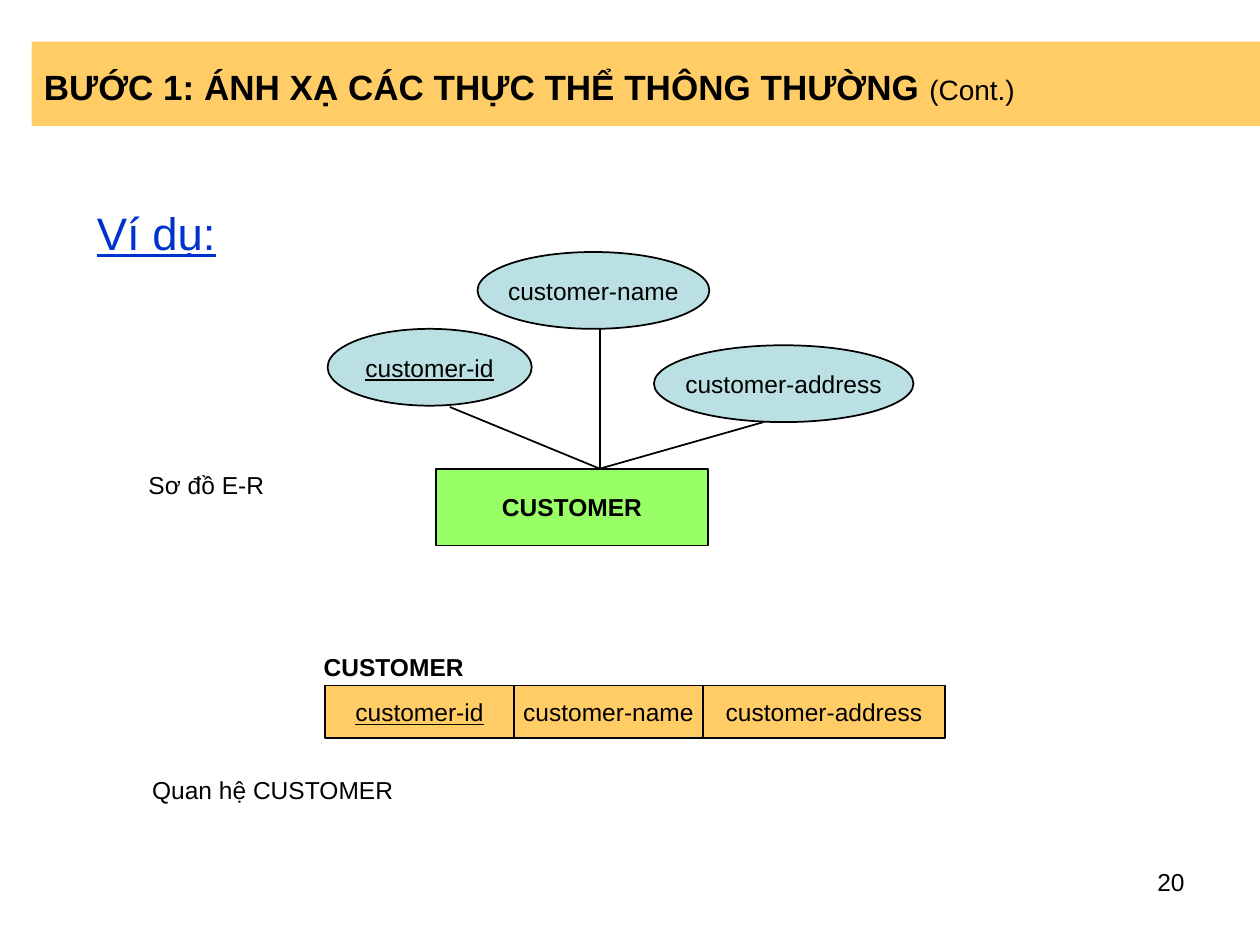
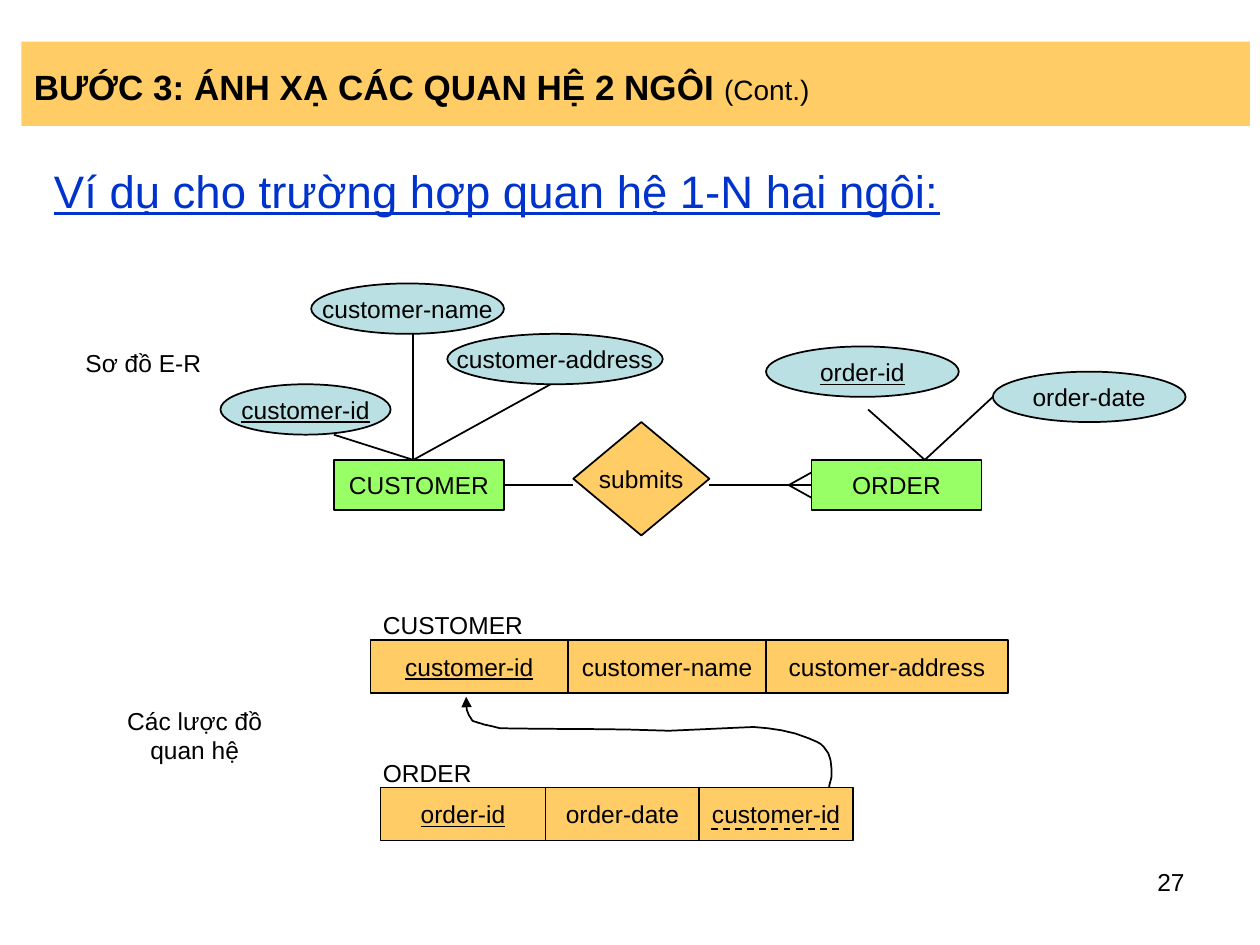
import pptx
import pptx.util
import pptx.dml.color
import pptx.enum.dml
import pptx.enum.shapes
import pptx.enum.text
import pptx.oxml.ns
from lxml import etree

Inches, Pt = pptx.util.Inches, pptx.util.Pt
RGBColor = pptx.dml.color.RGBColor
SHAPE = pptx.enum.shapes.MSO_SHAPE
ALIGN = pptx.enum.text.PP_ALIGN
ANCHOR = pptx.enum.text.MSO_ANCHOR

ORANGE = RGBColor(0xFF, 0xCC, 0x66)
GREEN = RGBColor(0x99, 0xFF, 0x66)
TEAL = RGBColor(0xBB, 0xE0, 0xE3)
BLUE = RGBColor(0x00, 0x33, 0xCC)
BLACK = RGBColor(0, 0, 0)
WHITE = RGBColor(0xFF, 0xFF, 0xFF)
FONT = "Arial"


def set_font(font, size=14, color=BLACK, bold=False, underline=False):
    font.name, font.size, font.bold = FONT, Pt(size), bold
    font.underline = underline
    font.color.rgb = color


def node(s, kind, box, fill, text="", line=True, **style):
    sp = s.shapes.add_shape(kind, *map(Inches, box))
    sp.shadow.inherit = False
    sp.fill.solid()
    sp.fill.fore_color.rgb = fill
    if line:
        sp.line.color.rgb = BLACK
        sp.line.width = Pt(1)
    else:
        sp.line.fill.background()
    tf = sp.text_frame
    tf.word_wrap = False
    tf.vertical_anchor = ANCHOR.MIDDLE
    p = tf.paragraphs[0]
    p.text = text
    p.alignment = ALIGN.CENTER
    set_font(p.font, **style)
    return sp


def label(s, box, text, align=ALIGN.LEFT, anchor=ANCHOR.MIDDLE, wrap=False, **style):
    tf = s.shapes.add_textbox(*map(Inches, box)).text_frame
    tf.word_wrap = wrap
    tf.vertical_anchor = anchor
    p = tf.paragraphs[0]
    p.text = text
    p.alignment = align
    set_font(p.font, **style)
    return p


def link(s, x1, y1, x2, y2, dashed=False):
    c = s.shapes.add_connector(pptx.enum.shapes.MSO_CONNECTOR.STRAIGHT,
                               *map(Inches, (x1, y1, x2, y2)))
    c.line.color.rgb = BLACK
    c.line.width = Pt(1)
    if dashed:
        c.line.dash_style = pptx.enum.dml.MSO_LINE.DASH
    etree.SubElement(c._element.spPr, pptx.oxml.ns.qn("a:effectLst"))


def title_band(s, x, text):
    sp = node(s, SHAPE.RECTANGLE, (x, 0.33, 9.75, 0.67), ORANGE, line=False)
    sp.text_frame.word_wrap = True
    p = sp.text_frame.paragraphs[0]
    p.alignment = ALIGN.LEFT
    p.line_spacing = 1.15
    for part, size, bold in ((text + " ", 20, True), ("(Cont.)", 16, False)):
        r = p.add_run()
        r.text = part
        set_font(r.font, size, bold=bold)


def heading(s, box, text):
    return label(s, box, text, anchor=ANCHOR.TOP, wrap=True,
                 size=26, color=BLUE, underline=True)


def page_number(s, number):
    label(s, (7.17, 6.83, 2.33, 0.52), str(number), ALIGN.RIGHT, ANCHOR.TOP, True)


def entity_with_attributes(s, x, y, entity, attributes, joint, bold=False):
    ex, ey, w, h, name = entity
    node(s, SHAPE.RECTANGLE, (x + ex, y + ey, w, h), GREEN, name, bold=bold)
    for ax, ay, aw, text, is_key, end_x, end_y in attributes:
        link(s, x + end_x, y + end_y, x + joint, y + ey)
        node(s, SHAPE.OVAL, (x + ax, y + ay, aw, h), TEAL, text, underline=is_key)


def relation(s, x, y, fields):
    for text, width, is_key in fields:
        node(s, SHAPE.RECTANGLE, (x, y, width, 0.42), ORANGE, text, underline=is_key)
        x += width


def relationship(s, x, y):
    node(s, SHAPE.DIAMOND, (x + 0.55, y - 0.5, 1.08, 0.9), ORANGE, "submits")
    link(s, x, y, x + 0.55, y)
    link(s, x + 1.63, y, x + 2.44, y)
    for dy in (-0.1, 0.1):
        link(s, x + 2.26, y, x + 2.44, y + dy)


def foreign_key_arrow(s, x, y):
    start = (2.88, 0.72)
    curves = [
        ((2.88, 0.7), (2.9, 0.65), (2.9, 0.63)),
        ((2.9, 0.54), (2.9, 0.46), (2.84, 0.4)),
        ((2.81, 0.36), (2.76, 0.35), (2.72, 0.33)),
        ((2.58, 0.27), (2.43, 0.25), (2.28, 0.24)),
        ((2.05, 0.25), (1.84, 0.26), (1.61, 0.27)),
        ((1.17, 0.25), (0.72, 0.26), (0.27, 0.25)),
        ((0.23, 0.24), (0.19, 0.23), (0.14, 0.22)),
        ((0.12, 0.21), (0.1, 0.21), (0.08, 0.2)),
        ((0.07, 0.2), (0.05, 0.19), (0.05, 0.19)),
        ((0, 0.12), (0, 0.1), (0, 0)),
    ]
    points, a = [], start
    for b, c, d in curves:
        for t in (0.25, 0.5, 0.75, 1):
            u = 1 - t
            points.append(tuple(
                u**3 * i + 3 * u * u * t * j + 3 * u * t * t * k + t**3 * m
                for i, j, k, m in zip(a, b, c, d)))
        a = d
    fb = s.shapes.build_freeform(Inches(start[0]), Inches(start[1]))
    fb.add_line_segments([(Inches(px), Inches(py)) for px, py in points], close=False)
    sp = fb.convert_to_shape(Inches(x), Inches(y))
    sp.shadow.inherit = False
    sp.fill.background()
    sp.line.color.rgb = BLACK
    sp.line.width = Pt(1)
    etree.SubElement(sp.line._get_or_add_ln(), pptx.oxml.ns.qn("a:tailEnd"), type="triangle")


def entity_slide(prs):
    s = prs.slides.add_slide(prs.slide_layouts[6])
    title_band(s, 0.25, "BƯỚC 1: ÁNH XẠ CÁC THỰC THỂ THÔNG THƯỜNG")
    heading(s, (0.67, 1.58, 8.5, 0.58), "Ví dụ:")
    entity_with_attributes(s, 2.6, 2, (0.86, 1.72, 2.16, 0.61, "CUSTOMER"), [
        (0, 0.61, 1.62, "customer-id", True, 0.97, 1.23),
        (1.19, 0, 1.84, "customer-name", False, 2.16, 0.61),
        (2.59, 0.74, 2.06, "customer-address", False, 3.46, 1.35),
    ], joint=2.16, bold=True)
    label(s, (1.08, 3.6, 2.16, 0.49), "Sơ đồ E-R")
    node(s, SHAPE.RECTANGLE, (1.33, 6.1, 1.67, 0.33), WHITE, "Quan hệ CUSTOMER", line=False)
    relation(s, 2.58, 5.44, [("customer-id", 1.5, True), ("customer-name", 1.5, False),
                             ("customer-address", 1.92, False)])
    node(s, SHAPE.RECTANGLE, (2.54, 5.17, 1.17, 0.25), WHITE, "CUSTOMER",
         line=False, bold=True)
    page_number(s, 20)


def relationship_slide(prs):
    s = prs.slides.add_slide(prs.slide_layouts[6])
    title_band(s, 0.17, "BƯỚC 3: ÁNH XẠ CÁC QUAN HỆ 2 NGÔI")
    p = heading(s, (0.33, 1.33, 9.42, 0.58), "Ví dụ cho trường hợp quan hệ 1-N hai ngôi:")
    p.line_spacing = 0.8
    label(s, (0.58, 2.67, 1.67, 0.42), "Sơ đồ E-R")
    entity_with_attributes(s, 1.75, 2.25, (0.9, 1.4, 1.35, 0.4, "CUSTOMER"), [
        (0, 0.8, 1.35, "customer-id", True, 0.9, 1.2),
        (0.72, 0, 1.53, "customer-name", False, 1.53, 0.4),
        (1.8, 0.4, 1.71, "customer-address", False, 2.62, 0.8),
    ], joint=1.53)
    entity_with_attributes(s, 6.08, 2.75, (0.36, 0.9, 1.35, 0.4, "ORDER"), [
        (0, 0, 1.53, "order-id", True, 0.81, 0.5),
        (1.8, 0.2, 1.53, "order-date", False, 1.8, 0.4),
    ], joint=1.26)
    relationship(s, 4, 3.85)
    label(s, (0.67, 5.67, 1.75, 0.33), "Các lược đồ quan hệ", ALIGN.CENTER)
    label(s, (2.94, 4.75, 1.31, 0.42), "CUSTOMER")
    relation(s, 2.94, 5.08, [("customer-id", 1.57, True), ("customer-name", 1.57, False),
                             ("customer-address", 1.92, False)])
    label(s, (2.94, 5.92, 1.31, 0.42), "ORDER")
    relation(s, 3.02, 6.25, [("order-id", 1.31, True), ("order-date", 1.22, False),
                             ("customer-id", 1.22, False)])
    foreign_key_arrow(s, 3.7, 5.53)
    link(s, 5.64, 6.58, 6.69, 6.58, dashed=True)
    page_number(s, 27)


def main():
    prs = pptx.Presentation()
    prs.slide_width, prs.slide_height = Inches(10), Inches(7.5)
    entity_slide(prs)
    relationship_slide(prs)
    prs.save("out.pptx")


if __name__ == "__main__":
    main()
